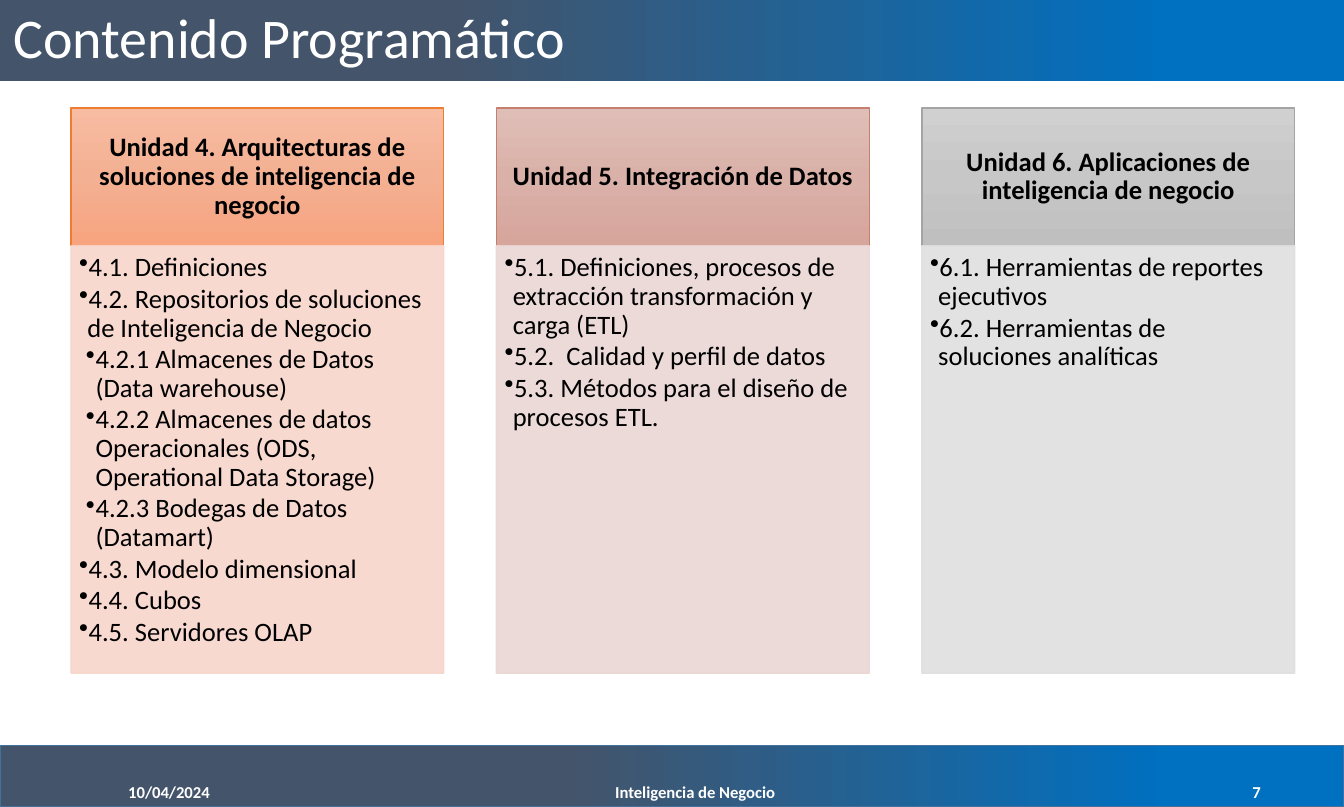
from dataclasses import dataclass

from lxml import etree
from pptx import Presentation
from pptx.dml.color import RGBColor
from pptx.enum.shapes import MSO_SHAPE
from pptx.enum.text import MSO_ANCHOR, PP_ALIGN
from pptx.oxml.ns import qn
from pptx.shapes.autoshape import Shape
from pptx.slide import Slide
from pptx.util import Inches, Pt

RECTANGLE = MSO_SHAPE.RECTANGLE
TOP, MIDDLE = MSO_ANCHOR.TOP, MSO_ANCHOR.MIDDLE
LEFT, CENTER, RIGHT = PP_ALIGN.LEFT, PP_ALIGN.CENTER, PP_ALIGN.RIGHT

FONT = "Calibri"
WHITE = RGBColor(0xFF, 0xFF, 0xFF)
BLACK = RGBColor(0x00, 0x00, 0x00)
SLATE = RGBColor(0x44, 0x54, 0x6A)
BLUE = RGBColor(0x00, 0x70, 0xC0)
FOOTER_EDGE = RGBColor(0x42, 0x71, 0x9B)
ORANGE = RGBColor(0xED, 0x7D, 0x31)
ORANGE_LIGHT = RGBColor(0xF7, 0xBC, 0xA2)
ORANGE_MID = RGBColor(0xF4, 0xB0, 0x93)
ORANGE_DEEP = RGBColor(0xF7, 0xA4, 0x7F)
ORANGE_PALE = RGBColor(0xF7, 0xD5, 0xCB)
ROSE = RGBColor(0xC4, 0x7F, 0x6E)
ROSE_LIGHT = RGBColor(0xDF, 0xBE, 0xB7)
ROSE_MID = RGBColor(0xD9, 0xB1, 0xA9)
ROSE_DEEP = RGBColor(0xD6, 0xA5, 0x9B)
ROSE_PALE = RGBColor(0xEB, 0xD6, 0xD4)
GRAY = RGBColor(0xA4, 0xA4, 0xA4)
GRAY_LIGHT = RGBColor(0xD0, 0xD0, 0xD0)
GRAY_MID = RGBColor(0xC7, 0xC7, 0xC7)
GRAY_DEEP = RGBColor(0xBF, 0xBF, 0xBF)
GRAY_PALE = RGBColor(0xDF, 0xDF, 0xDF)

PAGE_WIDTH, PAGE_HEIGHT = 9.84, 5.91
COLUMN_LEFT, COLUMN_STEP, COLUMN_WIDTH = 0.52, 3.115, 2.73
HEADING_TOP, HEADING_HEIGHT = 0.79, 1.01
TOPICS_HEIGHT = 3.13
TOPIC_INDENT, TOPIC_HANGING = 0.06, -0.07
BAR_INSETS = (0.1, 0.05, 0.1, 0.05)
HEADING_INSETS = (0.09, 0.05, 0.09, 0.05)
TOPICS_INSETS = (0.06, 0.06, 0.08, 0.09)


@dataclass(frozen=True)
class Topic:
    text: str
    level: int = 1


@dataclass(frozen=True)
class Unit:
    heading: str
    edge: RGBColor
    shades: tuple[RGBColor, RGBColor, RGBColor]
    pale: RGBColor
    topics: tuple[Topic, ...]


@dataclass(frozen=True)
class FooterField:
    text: str
    left: float
    width: float
    align: PP_ALIGN


UNITS = (
    Unit("Unidad 4. Arquitecturas de soluciones de inteligencia de negocio",
         ORANGE, (ORANGE_LIGHT, ORANGE_MID, ORANGE_DEEP), ORANGE_PALE, (
             Topic("4.1. Definiciones"),
             Topic("4.2. Repositorios de soluciones de Inteligencia de Negocio"),
             Topic("4.2.1 Almacenes de Datos (Data warehouse)", 2),
             Topic("4.2.2 Almacenes de datos Operacionales (ODS, Operational Data Storage)", 2),
             Topic("4.2.3 Bodegas de Datos (Datamart)", 2),
             Topic("4.3. Modelo dimensional"),
             Topic("4.4. Cubos"),
             Topic("4.5. Servidores OLAP"))),
    Unit("Unidad 5. Integración de Datos",
         ROSE, (ROSE_LIGHT, ROSE_MID, ROSE_DEEP), ROSE_PALE, (
             Topic("5.1. Definiciones, procesos de extracción transformación y carga (ETL)"),
             Topic("5.2.  Calidad y perfil de datos"),
             Topic("5.3. Métodos para el diseño de procesos ETL."))),
    Unit("Unidad 6. Aplicaciones de inteligencia de negocio",
         GRAY, (GRAY_LIGHT, GRAY_MID, GRAY_DEEP), GRAY_PALE, (
             Topic("6.1. Herramientas de reportes ejecutivos"),
             Topic("6.2. Herramientas de soluciones analíticas"))),
)
FOOTER_FIELDS = (
    FooterField("10/04/2024", 0.84, 2.21, LEFT),
    FooterField("Inteligencia de Negocio", 3.43, 3.32, CENTER),
    FooterField("7", 7.12, 2.21, RIGHT),
)


def add_rectangle(page: Slide, left: float, top: float, width: float, height: float,
                  edge: RGBColor | None = None, edge_width: float = 0.75) -> Shape:
    box = page.shapes.add_shape(RECTANGLE, Inches(left), Inches(top), Inches(width), Inches(height))
    box.shadow.inherit = False
    if edge is None:
        box.line.fill.background()
    else:
        box.line.color.rgb = edge
        box.line.width = Pt(edge_width)
    return box


def set_gradient(box: Shape, stops: list[tuple[int, RGBColor]], angle: int) -> None:
    box.fill.gradient()
    box.fill.gradient_angle = angle
    stop_list = box.element.spPr.find(".//" + qn("a:gsLst"))
    for old_stop in list(stop_list):
        stop_list.remove(old_stop)
    for percent, color in stops:
        stop = etree.SubElement(stop_list, qn("a:gs"), pos=str(percent * 1000))
        etree.SubElement(stop, qn("a:srgbClr"), val=str(color))


def set_opacity(box: Shape, percent: int) -> None:
    for color in box.element.spPr.iter(qn("a:srgbClr")):
        etree.SubElement(color, qn("a:alpha"), val=str(percent * 1000))


def set_frame(box: Shape, insets: tuple[float, float, float, float], anchor: MSO_ANCHOR) -> None:
    frame = box.text_frame
    frame.word_wrap = True
    frame.vertical_anchor = anchor
    frame.margin_left, frame.margin_top, frame.margin_right, frame.margin_bottom = map(Inches, insets)


def write(para, text: str, size: float, color: RGBColor, align: PP_ALIGN = LEFT,
          bold: bool = False, spacing: float = 0.9) -> None:
    para.alignment = align
    para.line_spacing = spacing
    span = para.add_run()
    span.text = text
    span.font.name = FONT
    span.font.size = Pt(size)
    span.font.bold = bold
    span.font.color.rgb = color


def add_bullet(para, level: int) -> None:
    para.level = level
    properties = para._p.get_or_add_pPr()
    properties.set("marL", str(Inches(TOPIC_INDENT * level)))
    properties.set("indent", str(Inches(TOPIC_HANGING)))
    bullet_color = etree.SubElement(properties, qn("a:buClr"))
    etree.SubElement(bullet_color, qn("a:srgbClr"), val=str(BLACK))
    etree.SubElement(properties, qn("a:buChar"), char="•")


def add_title(page: Slide) -> None:
    bar = add_rectangle(page, 0, 0, PAGE_WIDTH, 0.59)
    set_gradient(bar, [(0, SLATE), (33, SLATE), (87, BLUE), (100, BLUE)], 0)
    set_frame(bar, BAR_INSETS, MIDDLE)
    write(bar.text_frame.paragraphs[0], "Contenido Programático", 29.5, WHITE)


def add_footer(page: Slide) -> None:
    bar = add_rectangle(page, 0, 5.46, PAGE_WIDTH, 0.45, FOOTER_EDGE, 1)
    set_gradient(bar, [(0, SLATE), (42, SLATE), (87, BLUE), (100, BLUE)], 0)
    for field in FOOTER_FIELDS:
        box = page.shapes.add_textbox(Inches(field.left), Inches(5.64), Inches(field.width), Inches(0.31))
        set_frame(box, BAR_INSETS, MIDDLE)
        write(box.text_frame.paragraphs[0], field.text, 8.8, WHITE, field.align, True, 1.0)


def add_unit(page: Slide, unit: Unit, left: float) -> None:
    heading = add_rectangle(page, left, HEADING_TOP, COLUMN_WIDTH, HEADING_HEIGHT, unit.edge)
    set_gradient(heading, list(zip((0, 50, 100), unit.shades)), 270)
    set_frame(heading, HEADING_INSETS, MIDDLE)
    write(heading.text_frame.paragraphs[0], unit.heading, 14, BLACK, CENTER, True)

    body = add_rectangle(page, left, HEADING_TOP + HEADING_HEIGHT, COLUMN_WIDTH, TOPICS_HEIGHT, unit.pale)
    body.fill.solid()
    body.fill.fore_color.rgb = unit.pale
    set_opacity(body, 90)
    set_frame(body, TOPICS_INSETS, TOP)
    frame = body.text_frame
    for index, topic in enumerate(unit.topics):
        para = frame.add_paragraph() if index else frame.paragraphs[0]
        para.space_before = Pt(1.5 if index else 0)
        write(para, topic.text, 14, BLACK)
        add_bullet(para, topic.level)


def main() -> None:
    deck = Presentation()
    deck.slide_width, deck.slide_height = Inches(PAGE_WIDTH), Inches(PAGE_HEIGHT)
    page = deck.slides.add_slide(deck.slide_layouts[6])
    add_footer(page)
    add_title(page)
    for index, unit in enumerate(UNITS):
        add_unit(page, unit, COLUMN_LEFT + index * COLUMN_STEP)
    deck.save("out.pptx")


if __name__ == "__main__":
    main()
